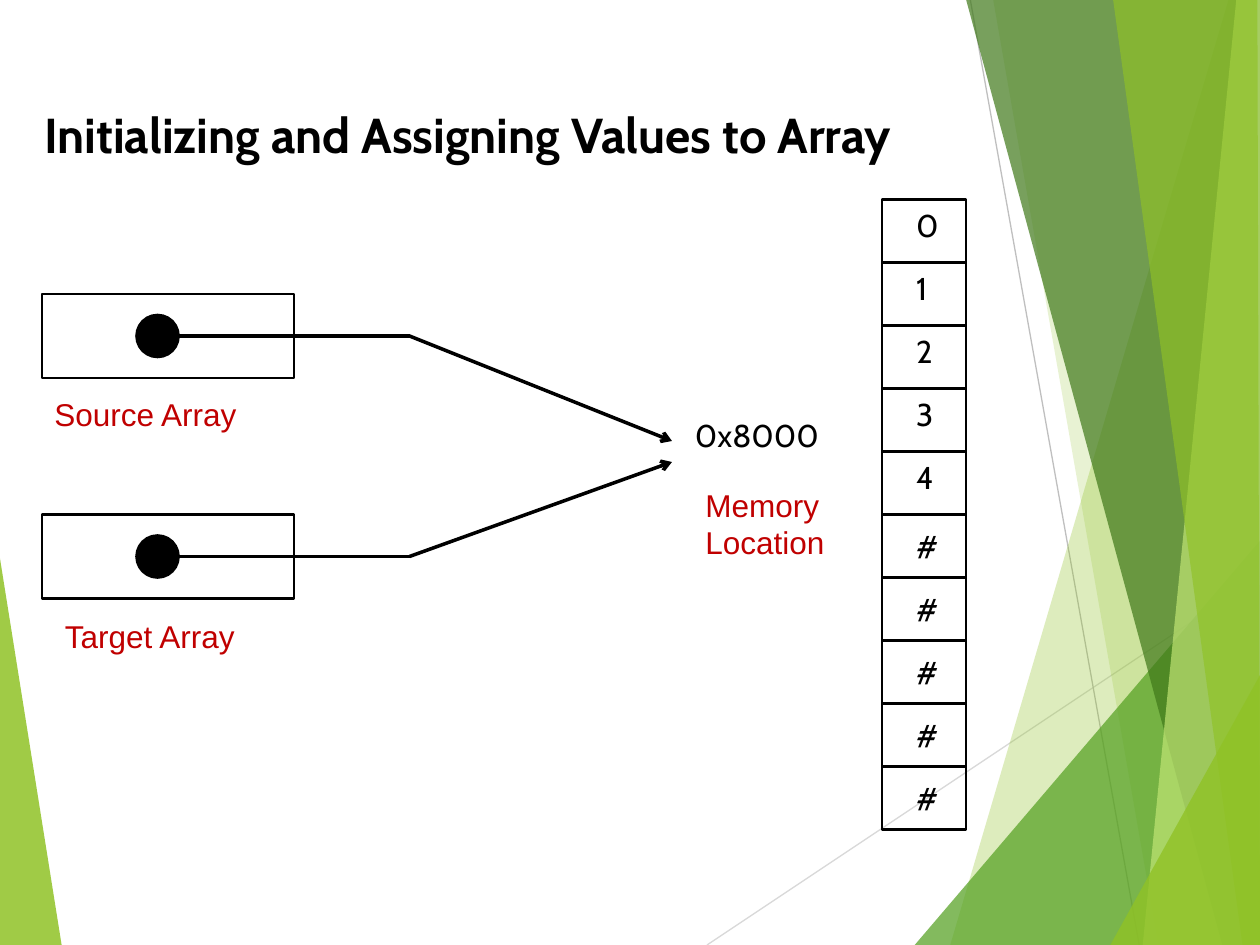
from dataclasses import dataclass
from pptx import Presentation
from pptx import util as u
from pptx.dml import color
from pptx.enum import shapes, text
from pptx.oxml import ns
from lxml import etree

Pt = u.Pt


@dataclass(frozen=True)
class Theme:
    ink: str = "000000"
    label: str = "C00000"
    lime: str = "90C226"
    green: str = "54A021"
    forest: str = "3F7819"
    pale: str = "C0E474"
    grey: str = "BFBFBF"
    light_grey: str = "D9D9D9"
    head_font: str = "Cabin"
    label_font: str = "Arial"
    title_size: float = 28
    body_size: float = 18
    outline: float = 1.5
    arrow: float = 2


class Deck:
    def __init__(self, theme):
        self.t = theme
        self.prs = Presentation()
        self.prs.slide_width, self.prs.slide_height = Pt(720), Pt(540)
        self.s = self.prs.slides.add_slide(self.prs.slide_layouts[5])

    def rgb(self, value):
        return color.RGBColor.from_string(value)

    def set_text(self, tf, lines, font, size, ink, bold=False):
        tf.text = "\n".join(lines)
        for p in tf.paragraphs:
            p.alignment = text.PP_ALIGN.LEFT
            p.font.name, p.font.size, p.font.bold = font, Pt(size), bold
            p.font.color.rgb = self.rgb(ink)

    def title(self, x, y, w, h, words):
        sp = self.s.shapes.title
        sp.left, sp.top, sp.width, sp.height = Pt(x), Pt(y), Pt(w), Pt(h)
        tf = sp.text_frame
        tf.word_wrap, tf.vertical_anchor = True, text.MSO_ANCHOR.TOP
        tf.auto_size = text.MSO_AUTO_SIZE.NONE
        self.set_text(tf, [words], self.t.head_font, self.t.title_size, self.t.ink, True)
        sp._element.getparent().append(sp._element)  # in front of the backdrop

    def label(self, x, y, w, h, lines, font, ink):
        tf = self.s.shapes.add_textbox(Pt(x), Pt(y), Pt(w), Pt(h)).text_frame
        tf.word_wrap = True
        self.set_text(tf, lines, font, self.t.body_size, ink)

    def box(self, x, y, w, h, kind=shapes.MSO_SHAPE.RECTANGLE, fill=None):
        sp = self.s.shapes.add_shape(kind, Pt(x), Pt(y), Pt(w), Pt(h))
        sp.shadow.inherit = False
        if fill:
            sp.fill.solid()
            sp.fill.fore_color.rgb = self.rgb(fill)
        else:
            sp.fill.background()
        sp.line.color.rgb = self.rgb(self.t.ink)
        sp.line.width = Pt(self.t.outline)
        return sp

    def cell(self, x, y, w, h, value, anchor):
        tf = self.box(x, y, w, h).text_frame
        tf.margin_left, tf.margin_right = Pt(19.5), 0
        tf.vertical_anchor = anchor
        self.set_text(tf, [value], self.t.head_font, self.t.body_size, self.t.ink)

    def line(self, start, end, ink, width, arrow=False):
        ends = [Pt(v) for v in (*start, *end)]
        sp = self.s.shapes.add_connector(shapes.MSO_CONNECTOR.STRAIGHT, *ends)
        sp.line.color.rgb, sp.line.width = self.rgb(ink), Pt(width)
        pr = sp._element.spPr
        if arrow:
            etree.SubElement(pr.find(ns.qn("a:ln")), ns.qn("a:tailEnd"), type="arrow")
        etree.SubElement(pr, ns.qn("a:effectLst"))

    def facet(self, points, fill, opacity):
        first, *rest = [(Pt(x), Pt(y)) for x, y in points]
        fb = self.s.shapes.build_freeform(*first)
        fb.add_line_segments(rest, close=True)
        sp = fb.convert_to_shape()
        sp.shadow.inherit = False
        sp.fill.solid()
        sp.fill.fore_color.rgb = self.rgb(fill)
        sp.line.fill.background()
        clr = sp._element.spPr.find(".//" + ns.qn("a:srgbClr"))
        etree.SubElement(clr, ns.qn("a:alpha"), val=str(opacity * 1000))


def main():
    t = Theme()
    d = Deck(t)

    # Backdrop of translucent facets
    d.facet([(-0.5, 316), (35.3, 540.5), (-0.5, 540)], t.lime, 85)
    d.line((404, 540), (720.5, 329), t.light_grey, 0.75)
    d.line((554.5, 0), (651, 540), t.grey, 0.75)
    for points, fill, opacity in (
        ([(702, 0), (543, 540), (721, 540), (720.5, 0)], t.lime, 30),
        ([(567.5, -0.5), (662, 540), (720.5, 540), (720.5, -0.5)], t.lime, 20),
        ([(522.7, 540), (720, 309), (720.5, 540)], t.green, 72),
        ([(552, -0.5), (698.5, 540), (720.5, 540), (720.5, -0.5)], t.forest, 70),
        ([(706.5, -0.5), (653, 540), (720.5, 540), (720, -0.5)], t.pale, 70),
        ([(636, -0.5), (710, 540), (720, 540), (718.5, -0.5)], t.lime, 65),
        ([(634.5, 540), (720.5, 385), (720.5, 540)], t.lime, 80),
    ):
        d.facet(points, fill, opacity)

    d.title(18, 56, 690, 41, "Initializing and Assigning Values to Array")

    # Array references, each pointing at the same memory
    for name, top, tip, x, y in (("Source Array", 168, 252, 24, 222),
                                 ("Target Array", 294, 264, 30, 349)):
        mid = top + 24
        d.box(24, top, 144, 48)
        d.box(78, top + 12, 24, 24, shapes.MSO_SHAPE.OVAL, t.ink)
        d.line((102, mid), (234, mid), t.ink, t.arrow)
        d.line((234, mid), (384, tip), t.ink, t.arrow, arrow=True)
        d.label(x, y, 138, 29, [name], t.label_font, t.label)

    # Memory address
    d.label(390, 234, 96, 37, ["0x8000"], t.head_font, t.ink)
    d.label(396, 274, 96, 51, ["Memory", "Location"], t.label_font, t.label)

    # Memory cells
    for i, value in enumerate("01234#####"):
        anchor = text.MSO_ANCHOR.MIDDLE if value == "#" else text.MSO_ANCHOR.TOP
        d.cell(504, 114 + 36 * i, 48, 36, value, anchor)

    d.prs.save("out.pptx")


if __name__ == "__main__":
    main()
